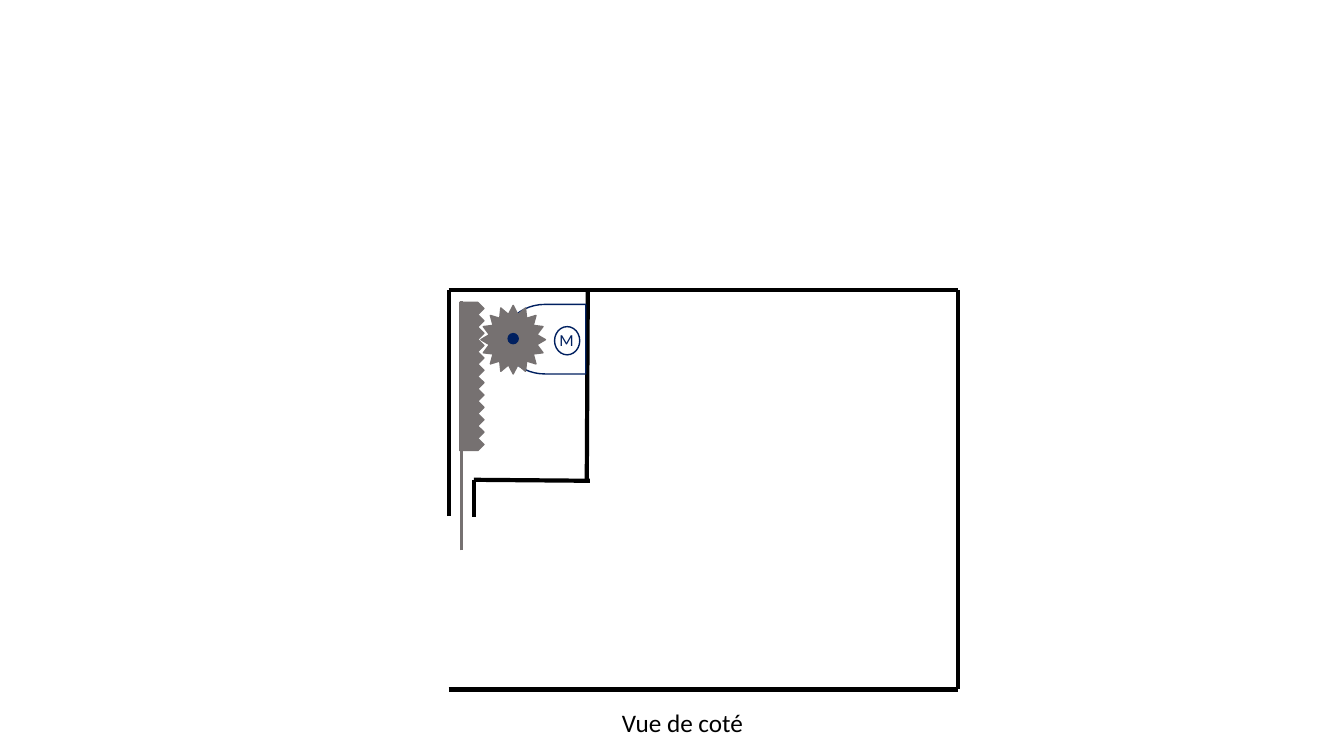
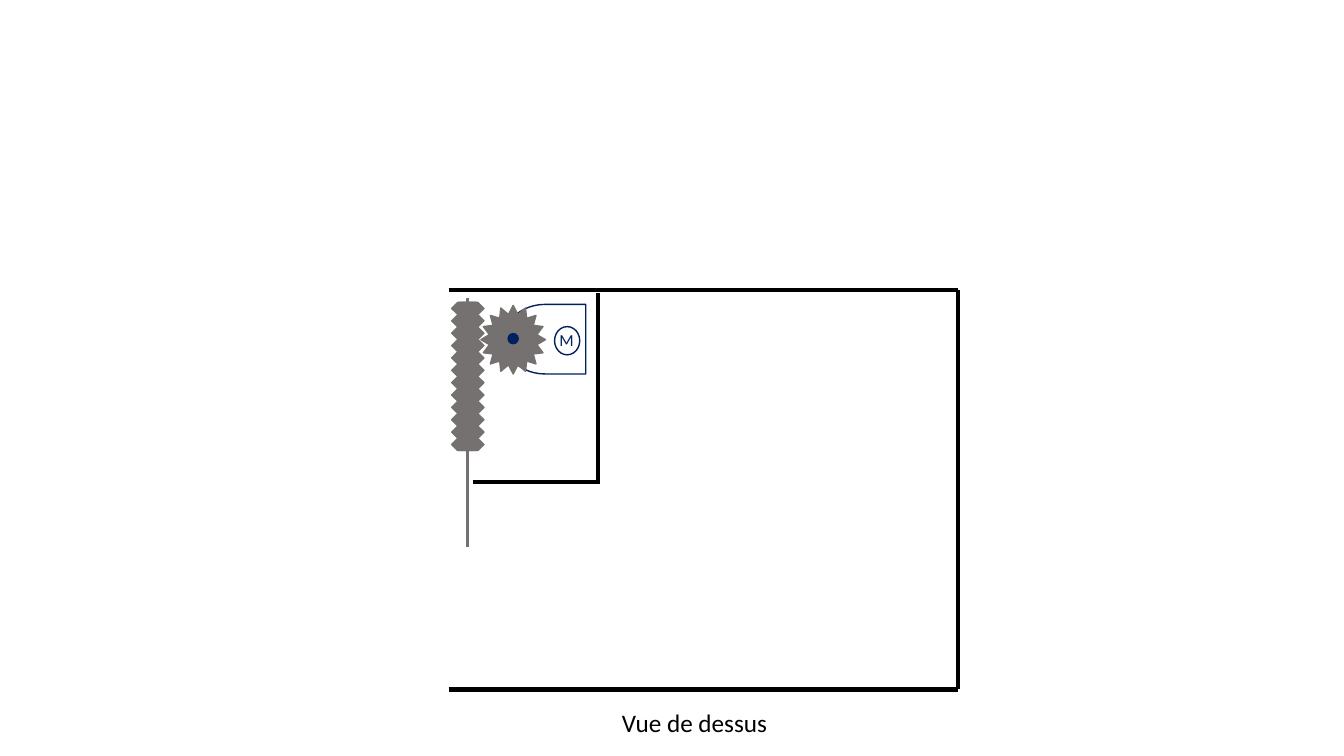
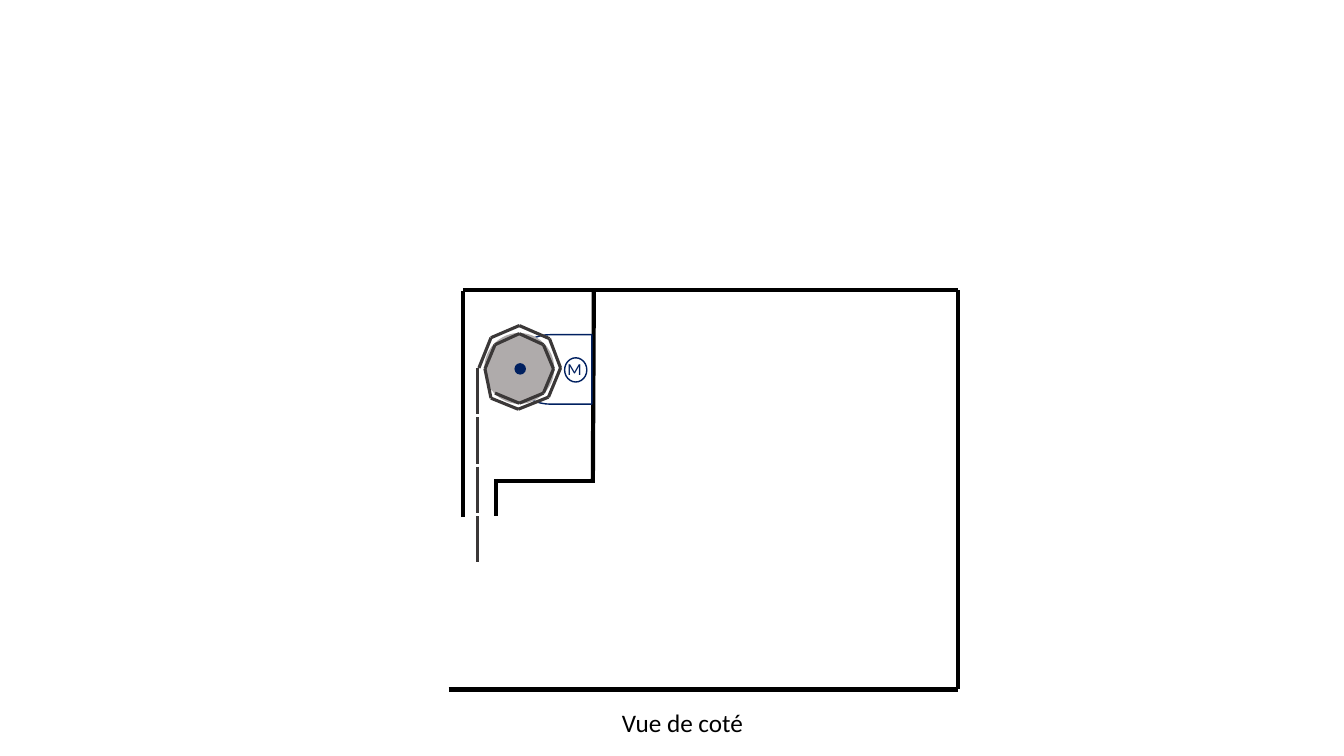
from dataclasses import dataclass
from itertools import pairwise
from typing import NamedTuple

from lxml.etree import SubElement
from pptx import Presentation
from pptx.dml.color import RGBColor
from pptx.enum.shapes import MSO_CONNECTOR, MSO_SHAPE
from pptx.enum.text import MSO_AUTO_SIZE
from pptx.oxml.ns import qn
from pptx.util import Inches, Pt


@dataclass(frozen=True)
class Theme:
    font: str = "Calibri"
    black: RGBColor = RGBColor(0x00, 0x00, 0x00)
    navy: RGBColor = RGBColor(0x00, 0x20, 0x60)
    steel: RGBColor = RGBColor(0x76, 0x71, 0x71)
    drum: RGBColor = RGBColor(0xAF, 0xAB, 0xAB)
    slat: RGBColor = RGBColor(0x3B, 0x38, 0x38)
    caption_size: float = 18
    label_size: float = 12
    wall_width: float = 3
    shutter_width: float = 2.25
    outline_width: float = 1


class Box(NamedTuple):
    left: float
    top: float
    width: float
    height: float


class Point(NamedTuple):
    x: float
    y: float


class Wall(NamedTuple):
    start: Point
    end: Point


@dataclass(frozen=True)
class Motor:
    casing: Box
    wheel: Box
    wheel_kind: MSO_SHAPE
    wheel_color: RGBColor
    axle: Box
    label: Box
    ring: Box


@dataclass(frozen=True)
class View:
    caption: str
    walls: tuple[Wall, ...]
    motor: Motor


THEME = Theme()
CAPTION_BOX = Box(6.07, 6.97, 2.38, 0.4)
ROOM_LEFT, ROOM_TOP, ROOM_RIGHT, ROOM_BOTTOM = 4.45, 2.88, 9.5, 6.84
ROOM_WALLS = (
    Wall(Point(ROOM_LEFT, ROOM_BOTTOM), Point(ROOM_RIGHT, ROOM_BOTTOM)),
    Wall(Point(ROOM_RIGHT, ROOM_BOTTOM), Point(ROOM_RIGHT, ROOM_TOP)),
)

TOOTH_COUNT = 12
RACK_TOP, TOOTH_PITCH = 3, 0.1227
RIGHT_TEETH_LEFT, LEFT_TEETH_LEFT = 4.56, 4.48

SLAT_COUNT, SLAT_LENGTH, SLAT_PITCH = 4, 0.46, 0.49
SLAT_X, SLAT_TOP = 4.74, 3.65
ROLLED_SLATS = (
    Point(4.91, 3.9), Point(5.15, 4), Point(5.39, 3.9), Point(5.49, 3.66),
    Point(5.39, 3.42), Point(5.15, 3.31), Point(4.91, 3.42), Point(4.81, 3.66),
    Point(4.87, 3.95), Point(5.14, 4.06), Point(5.44, 3.94), Point(5.56, 3.65),
    Point(5.45, 3.36), Point(5.15, 3.23), Point(4.87, 3.35), Point(4.75, 3.65),
)

GEAR_MOTOR = Motor(
    casing=Box(5, 3.02, 0.81, 0.69),
    wheel=Box(4.77, 3.03, 0.64, 0.68),
    wheel_kind=MSO_SHAPE.STAR_16_POINT,
    wheel_color=THEME.steel,
    axle=Box(5.04, 3.31, 0.1, 0.1),
    label=Box(5.45, 3.22, 0.57, 0.3),
    ring=Box(5.5, 3.24, 0.25, 0.28),
)
DRUM_MOTOR = Motor(
    casing=Box(5.06, 3.32, 0.81, 0.69),
    wheel=Box(4.81, 3.31, 0.68, 0.69),
    wheel_kind=MSO_SHAPE.OVAL,
    wheel_color=THEME.drum,
    axle=Box(5.11, 3.61, 0.1, 0.1),
    label=Box(5.53, 3.51, 0.57, 0.3),
    ring=Box(5.6, 3.55, 0.22, 0.24),
)

RACK_SIDE_VIEW = View(
    "Vue de coté",
    (
        Wall(Point(ROOM_LEFT, ROOM_TOP), Point(ROOM_RIGHT, ROOM_TOP)),
        Wall(Point(ROOM_LEFT, 5.12), Point(ROOM_LEFT, ROOM_TOP)),
        Wall(Point(4.7, 4.76), Point(4.7, 5.13)),
        Wall(Point(5.82, 4.75), Point(5.83, ROOM_TOP)),
        Wall(Point(4.7, 4.76), Point(5.85, 4.77)),
    ),
    GEAR_MOTOR,
)
RACK_TOP_VIEW = View(
    "Vue de dessus",
    (
        Wall(Point(ROOM_LEFT, ROOM_TOP), Point(ROOM_RIGHT, ROOM_TOP)),
        Wall(Point(5.93, 4.78), Point(5.93, 2.91)),
        Wall(Point(4.69, 4.78), Point(5.95, 4.78)),
    ),
    GEAR_MOTOR,
)
ROLLER_SIDE_VIEW = View(
    "Vue de coté",
    (
        Wall(Point(4.59, ROOM_TOP), Point(ROOM_RIGHT, ROOM_TOP)),
        Wall(Point(4.59, 5.13), Point(4.59, 2.89)),
        Wall(Point(4.92, 4.75), Point(4.92, 5.12)),
        Wall(Point(5.88, 4.76), Point(5.89, 2.89)),
        Wall(Point(4.91, 4.77), Point(5.9, 4.77)),
    ),
    DRUM_MOTOR,
)


def add_line(slide, start: Point, end: Point, color: RGBColor, width: float) -> None:
    ends = (Inches(value) for value in (*start, *end))
    connector = slide.shapes.add_connector(MSO_CONNECTOR.STRAIGHT, *ends)
    connector.line.color.rgb = color
    connector.line.width = Pt(width)
    SubElement(connector._element.spPr, qn("a:effectLst"))


def add_part(slide, kind: MSO_SHAPE, box: Box, color: RGBColor,
             filled: bool = True, rotation: float = 0) -> None:
    """Add a machine part in one colour, solid or as an outline."""
    shape = slide.shapes.add_shape(kind, *map(Inches, box))
    shape.shadow.inherit = False
    shape.rotation = rotation
    shape.line.color.rgb = color
    shape.line.width = Pt(THEME.outline_width)
    if filled:
        shape.fill.solid()
        shape.fill.fore_color.rgb = color
    else:
        shape.fill.background()


def add_text(slide, text: str, box: Box, size: float, color: RGBColor) -> None:
    frame = slide.shapes.add_textbox(*map(Inches, box)).text_frame
    frame.word_wrap = True
    frame.auto_size = MSO_AUTO_SIZE.SHAPE_TO_FIT_TEXT
    paragraph = frame.paragraphs[0]
    paragraph.text = text
    paragraph.font.name = THEME.font
    paragraph.font.size = Pt(size)
    paragraph.font.color.rgb = color


def add_rack(slide, left: float, rotation: float = 0) -> None:
    for index in range(TOOTH_COUNT):
        tooth = Box(left, RACK_TOP + index * TOOTH_PITCH, 0.24, 0.12)
        add_part(slide, MSO_SHAPE.PENTAGON, tooth, THEME.steel, rotation=rotation)


def add_motor(slide, motor: Motor) -> None:
    add_part(slide, MSO_SHAPE.FLOWCHART_DELAY, motor.casing, THEME.navy,
             filled=False, rotation=180)
    add_part(slide, motor.wheel_kind, motor.wheel, motor.wheel_color)
    add_part(slide, MSO_SHAPE.OVAL, motor.axle, THEME.navy)
    add_text(slide, "M", motor.label, THEME.label_size, THEME.navy)
    add_part(slide, MSO_SHAPE.OVAL, motor.ring, THEME.navy, filled=False)


def add_roller_shutter(slide) -> None:
    """Add the slats wound on the drum and those hanging below it."""
    slats = list(pairwise(ROLLED_SLATS))
    for index in range(SLAT_COUNT):
        top = SLAT_TOP + index * SLAT_PITCH
        slats.append((Point(SLAT_X, top), Point(SLAT_X, top + SLAT_LENGTH)))
    for start, end in slats:
        add_line(slide, start, end, THEME.slat, THEME.shutter_width)


def add_view(presentation, view: View):
    """Add a slide with the room, its walls and its caption."""
    slide = presentation.slides.add_slide(presentation.slide_layouts.get_by_name("Blank"))
    for wall in ROOM_WALLS + view.walls:
        add_line(slide, wall.start, wall.end, THEME.black, THEME.wall_width)
    add_text(slide, view.caption, CAPTION_BOX, THEME.caption_size, THEME.black)
    return slide


def build_rack_side(presentation) -> None:
    slide = add_view(presentation, RACK_SIDE_VIEW)
    add_line(slide, Point(4.58, 5.46), Point(4.58, 2.99), THEME.steel, THEME.shutter_width)
    add_rack(slide, RIGHT_TEETH_LEFT)
    add_motor(slide, RACK_SIDE_VIEW.motor)


def build_rack_top(presentation) -> None:
    slide = add_view(presentation, RACK_TOP_VIEW)
    add_line(slide, Point(4.64, 5.43), Point(4.64, 2.96), THEME.steel, THEME.shutter_width)
    add_rack(slide, RIGHT_TEETH_LEFT)
    add_rack(slide, LEFT_TEETH_LEFT, rotation=180)
    add_motor(slide, RACK_TOP_VIEW.motor)


def build_roller_side(presentation) -> None:
    slide = add_view(presentation, ROLLER_SIDE_VIEW)
    add_motor(slide, ROLLER_SIDE_VIEW.motor)
    add_roller_shutter(slide)


def main() -> None:
    presentation = Presentation()
    presentation.slide_width = Inches(13.33)
    presentation.slide_height = Inches(7.5)
    build_rack_side(presentation)
    build_rack_top(presentation)
    build_roller_side(presentation)
    presentation.save("out.pptx")


if __name__ == "__main__":
    main()
